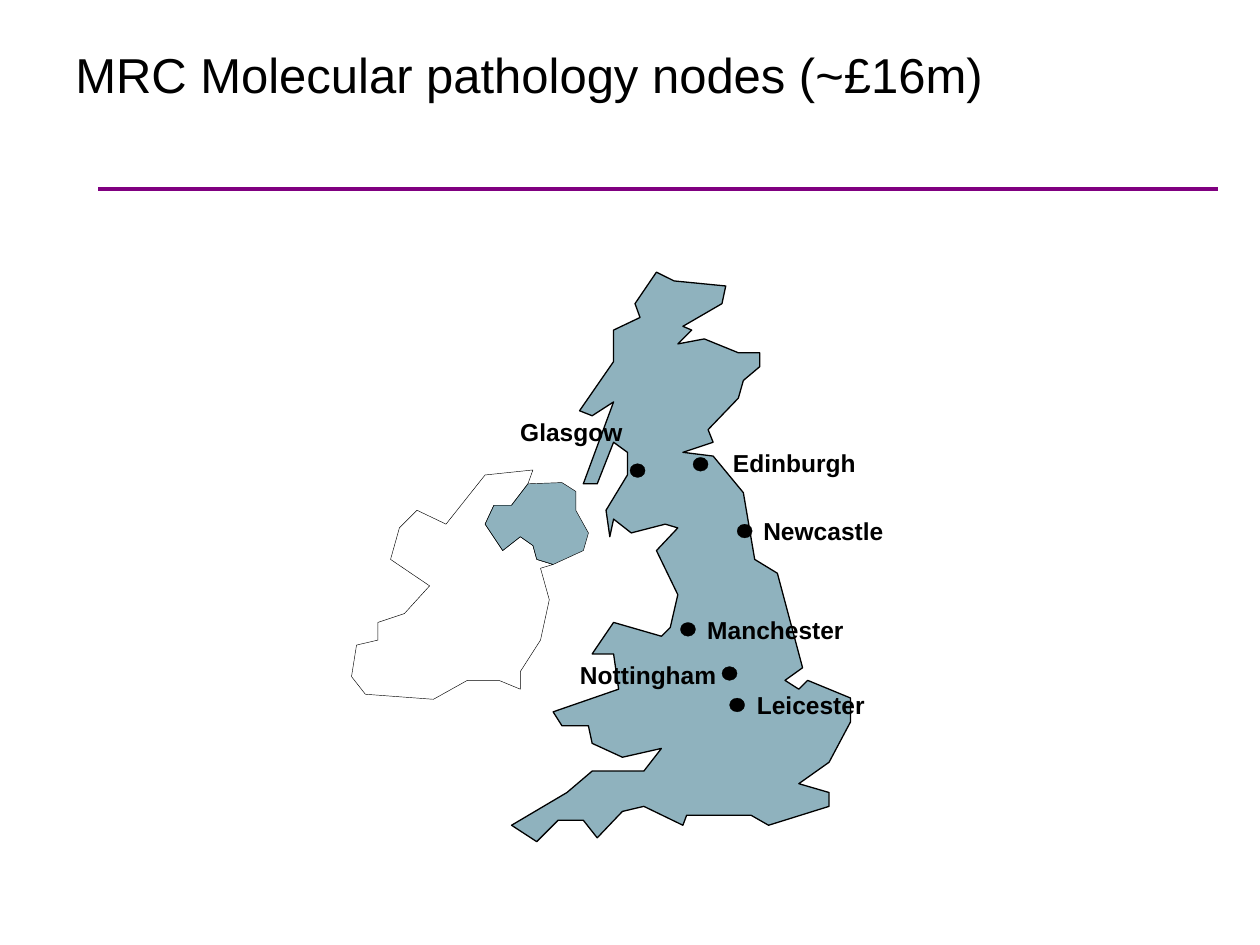
from lxml import etree
from pptx import Presentation
from pptx.dml.color import RGBColor
from pptx.enum.shapes import MSO_CONNECTOR, MSO_SHAPE
from pptx.enum.text import MSO_ANCHOR, PP_ALIGN
from pptx.oxml.ns import qn
from pptx.util import Pt

STRAIGHT, OVAL = MSO_CONNECTOR.STRAIGHT, MSO_SHAPE.OVAL
TOP, LEFT, CENTER = MSO_ANCHOR.TOP, PP_ALIGN.LEFT, PP_ALIGN.CENTER

# The slide is a grid of 1000 columns by 750 rows of square cells
CELL = 9144
COLS, ROWS = 1000, 750
FONT = "Arial"
COLORS = {"ink": "000000", "rule": "800080", "land": "21677E"}

# Outlines as (column, row) points
BRITAIN = [
    # Scotland, north and west
    (538, 273), (549, 262), (542, 259), (573, 241), (576, 227), (535, 223),
    (521, 216), (504, 241), (508, 252), (487, 262), (487, 287), (460, 326),
    (470, 330), (487, 319), (463, 384), (474, 384), (487, 351), (498, 359),
    (498, 377), (481, 405), (484, 426), (487, 412), (501, 423), (528, 416),
    # North-west England and Wales
    (538, 419), (521, 437), (538, 472), (532, 498), (525, 505), (487, 494),
    (470, 519), (487, 519), (491, 547), (439, 565), (446, 576), (467, 576),
    (470, 590), (494, 601), (525, 594),
    # South-west and south coast
    (511, 612), (470, 612), (450, 629), (406, 655), (426, 668), (443, 651),
    (463, 651), (474, 665), (494, 644), (511, 640), (542, 655), (545, 647),
    (596, 647), (610, 655), (658, 640),
    # East coast
    (658, 629), (634, 622), (658, 605), (675, 573), (675, 554), (641, 540),
    (634, 547), (623, 540), (637, 530), (617, 455), (599, 444), (590, 391),
    (566, 362), (542, 359), (566, 351), (562, 341), (586, 316), (590, 302),
    (603, 291), (603, 280), (586, 280), (559, 269),
]
# Both parts of Ireland share the border, listed from north to south-east
BORDER = [
    (419, 384), (406, 401), (392, 401), (385, 416), (399, 437), (413, 426),
    (423, 433), (426, 444), (439, 448),
]
IRELAND = BORDER + [
    (429, 451), (436, 476), (429, 508), (413, 533), (413, 547), (396, 540),
    (371, 540), (344, 555), (290, 551), (279, 537), (283, 512), (300, 508),
    (300, 494), (321, 487), (341, 465), (310, 444), (317, 419), (331, 405),
    (354, 416), (385, 377), (423, 373),
]
NORTHERN_IRELAND = BORDER + [
    (463, 437), (467, 423), (457, 405), (457, 390), (446, 383),
]

# City, top left of its dot, top left of its label
NODES = [
    ("Leicester", (579, 554), (575, 543)),
    ("Manchester", (540, 494), (547, 483)),
    ("Edinburgh", (550, 363), (562, 351)),
    ("Glasgow", (500, 368), (385, 326)),
    ("Nottingham", (573, 529), (446, 519)),
    ("Newcastle", (585, 416), (585, 405)),
]
DOT_SIZE = (12, 11)
LABEL_SIZE = (137, 34)


def rgb(name):
    return RGBColor.from_string(COLORS[name])


def grid(*cells):
    return [c * CELL for c in cells]


def style(s, fill, line_width):
    s.shadow.inherit = False
    if fill:
        s.fill.solid()
        s.fill.fore_color.rgb = rgb(fill)
    else:
        s.fill.background()
    s.line.color.rgb = rgb("ink")
    s.line.width = Pt(line_width)


def add_rule(slide, start, end):
    s = slide.shapes.add_connector(STRAIGHT, *grid(*start, *end))
    s.line.color.rgb = rgb("rule")
    s.line.width = Pt(1.75)
    etree.SubElement(s._element.spPr, qn("a:effectLst"))


def add_region(slide, points, line_width, fill=None):
    fb = slide.shapes.build_freeform(*points[0], scale=CELL)
    fb.add_line_segments(points[1:], close=True)
    s = fb.convert_to_shape()
    style(s, fill, line_width)
    if fill:
        # Half-transparent land
        color = s._element.spPr.find(qn("a:solidFill"))[0]
        etree.SubElement(color, qn("a:alpha"), val="50000")


def add_dot(slide, at):
    s = slide.shapes.add_shape(OVAL, *grid(*at, *DOT_SIZE))
    style(s, "ink", 0.13)


def add_text(slide, text, at, size, points, align=LEFT, bold=False):
    tf = slide.shapes.add_textbox(*grid(*at, *size)).text_frame
    tf.word_wrap = True
    tf.vertical_anchor = TOP
    p = tf.paragraphs[0]
    p.alignment = align
    r = p.add_run()
    r.text = text
    r.font.name = FONT
    r.font.size = Pt(points)
    r.font.bold = bold
    r.font.color.rgb = rgb("ink")


def main():
    prs = Presentation()
    prs.slide_width, prs.slide_height = grid(COLS, ROWS)
    slide = prs.slides.add_slide(prs.slide_layouts[6])

    # Heading
    add_rule(slide, (78, 150), (967, 150))
    add_text(slide, "MRC Molecular pathology nodes (~£16m)",
             (50, 30), (900, 125), 28)

    # Map
    add_region(slide, BRITAIN, 0.75, "land")
    add_region(slide, IRELAND, 0.25)
    add_region(slide, NORTHERN_IRELAND, 0.25, "land")

    # Nodes
    for city, dot, label in NODES:
        add_dot(slide, dot)
        add_text(slide, city, label, LABEL_SIZE, 14, CENTER, bold=True)

    prs.save("out.pptx")


if __name__ == "__main__":
    main()
